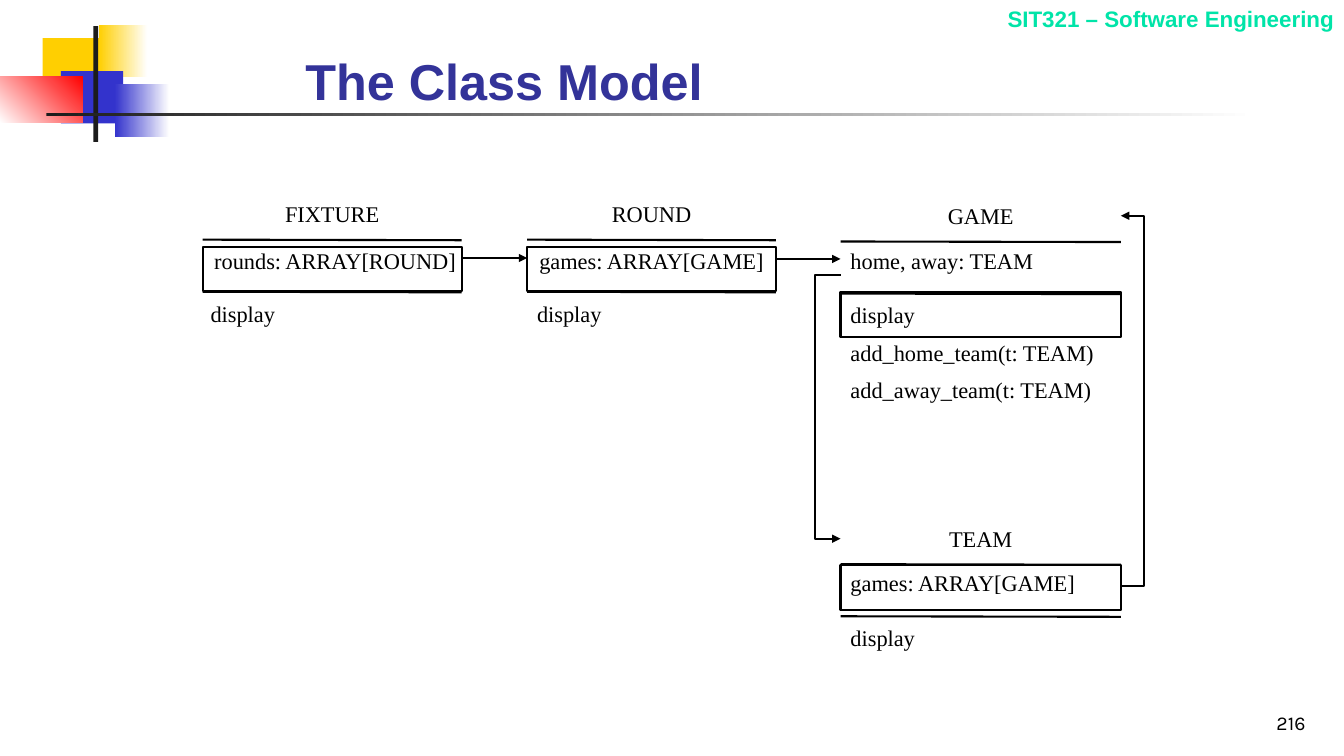
from dataclasses import dataclass

from lxml import etree
from pptx import Presentation
from pptx.dml.color import RGBColor
from pptx.enum import shapes, text
from pptx.oxml import ns
from pptx.util import Pt

LEFT, CENTER, RIGHT = text.PP_ALIGN.LEFT, text.PP_ALIGN.CENTER, text.PP_ALIGN.RIGHT
TOP, BOTTOM = text.MSO_ANCHOR.TOP, text.MSO_ANCHOR.BOTTOM


@dataclass(frozen=True)
class Theme:
    """Colours, fonts and type sizes of the slide."""
    ink: str = "000000"
    paper: str = "FFFFFF"
    title: str = "333399"
    course: str = "00E4A8"
    yellow: str = "FFCF01"
    blue: str = "3333CC"
    red: str = "FF0000"
    bar: str = "1C1C1C"
    sans: str = "Arial"
    serif: str = "Times New Roman"
    number: str = "Karla"
    title_size: float = 36
    body_size: float = 16
    number_size: float = 14
    line: float = 1.5


T = Theme()


@dataclass(frozen=True)
class Block:
    """A decorative rectangle, with a gradient when it has an end colour."""
    x: float
    y: float
    w: float
    h: float
    start: str
    end: str = ""
    angle: float = 0


@dataclass(frozen=True)
class ClassBox:
    """A class with its name, attribute, methods and framed row."""
    name: str
    x: float
    y: float
    w: float
    attribute: str
    methods: tuple[str, ...]
    frame_dy: float
    attribute_dy: float
    body_x: float
    body_w: float
    align: text.PP_ALIGN = LEFT


@dataclass(frozen=True)
class Arrow:
    """A path through points that ends in an arrowhead."""
    points: tuple[tuple[float, float], ...]


BLOCKS = (
    Block(30.5, 27.2, 46, 37.4, T.yellow),
    Block(70.6, 17.6, 34.6, 37.4, T.yellow, T.paper),
    Block(43.4, 50.8, 44.6, 37.4, T.blue),
    Block(82.1, 60.2, 38.9, 37.4, T.blue, T.paper),
    Block(0, 54.6, 59.2, 33.2, T.paper, T.red, 45),
    Block(66.7, 18.6, 3.5, 82.8, T.bar),
    Block(33.1, 80.6, 864, 2.2, T.bar, T.paper),
)

CLASSES = (
    ClassBox("FIXTURE", 144.8, 139.7, 185, "rounds: ARRAY[ROUND]", ("display",),
             36.7, 33.1, 143.3, 192.2, CENTER),
    ClassBox("ROUND", 376.5, 139.7, 177.7, "games: ARRAY[GAME]", ("display",),
             36.7, 33.1, 376.5, 177.7, CENTER),
    ClassBox("GAME", 600.4, 141, 200.3, "home, away: TEAM",
             ("display", "add_home_team(t: TEAM)", "add_away_team(t: TEAM)"),
             67.8, 31.8, 600.4, 168.5),
    ClassBox("TEAM", 600.4, 371.5, 200.3, "games: ARRAY[GAME]", ("display",),
             32.4, 31.7, 600.4, 185.8),
)

ARROWS = (
    Arrow(((329.8, 184.3), (376.5, 184.3))),
    Arrow(((554.2, 185), (600.4, 185))),
    Arrow(((600.4, 196.4), (582.3, 196.4), (582.3, 384.8), (600.4, 384.8))),
    Arrow(((800.7, 418.5), (817.2, 418.5), (817.2, 154.1), (800.7, 154.1))),
)


def rgb(value: str) -> RGBColor:
    """Turn a hex string into a colour."""
    return RGBColor.from_string(value)


def add_text(s, content: str, x: float, y: float, w: float, h: float = 26.6, *,
             size: float = T.body_size, font: str = T.serif, color: str = T.ink,
             bold: bool = False, align: text.PP_ALIGN = LEFT,
             anchor: text.MSO_ANCHOR = TOP, wrap: bool = True) -> None:
    """Add a one-line text box."""
    tf = s.shapes.add_textbox(Pt(x), Pt(y), Pt(w), Pt(h)).text_frame
    tf.word_wrap, tf.vertical_anchor = wrap, anchor
    p = tf.paragraphs[0]
    p.alignment = align
    r = p.add_run()
    r.text = content
    r.font.size, r.font.name, r.font.bold = Pt(size), font, bold
    r.font.color.rgb = rgb(color)


def add_rect(s, x: float, y: float, w: float, h: float):
    """Add a rectangle without shadow."""
    sp = s.shapes.add_shape(shapes.MSO_SHAPE.RECTANGLE, Pt(x), Pt(y), Pt(w), Pt(h))
    sp.shadow.inherit = False
    return sp


def style_line(sp) -> None:
    """Give a shape the diagram's line."""
    sp.line.color.rgb = rgb(T.ink)
    sp.line.width = Pt(T.line)


def add_line(s, x1: float, y1: float, x2: float, y2: float):
    """Add a straight line without shadow."""
    sp = s.shapes.add_connector(shapes.MSO_CONNECTOR.STRAIGHT,
                                Pt(x1), Pt(y1), Pt(x2), Pt(y2))
    style_line(sp)
    etree.SubElement(sp._element.spPr, ns.qn("a:effectLst"))
    return sp


def draw_block(s, b: Block) -> None:
    """Draw a decorative rectangle."""
    sp = add_rect(s, b.x, b.y, b.w, b.h)
    sp.line.fill.background()
    if not b.end:
        sp.fill.solid()
        sp.fill.fore_color.rgb = rgb(b.start)
        return
    sp.fill.gradient()
    sp.fill.gradient_angle = b.angle
    for stop, color in zip(sp.fill.gradient_stops, (b.start, b.end)):
        stop.color.rgb = rgb(color)


def draw_class(s, c: ClassBox) -> None:
    """Draw a class with its rules, frame and text."""
    frame = add_rect(s, c.x, c.y + c.frame_dy, c.w, 31.7)
    frame.fill.background()
    style_line(frame)
    add_text(s, c.name, c.x, c.y, c.w, align=CENTER)
    for dy in (31.5, 68.7):
        add_line(s, c.x, c.y + dy, c.x + c.w, c.y + dy + 0.4)
    add_text(s, c.attribute, c.body_x, c.y + c.attribute_dy, c.body_w, align=c.align)
    for i, method in enumerate(c.methods):
        add_text(s, method, c.body_x, c.y + 70.8 + 26.7 * i,
                 189 if "(" in method else 61.2, wrap=False)


def draw_arrow(s, a: Arrow) -> None:
    """Draw a straight or bent arrow."""
    start, *rest = a.points
    if len(rest) == 1:
        sp = add_line(s, *start, *rest[0])
    else:
        path = s.shapes.build_freeform(Pt(start[0]), Pt(start[1]))
        path.add_line_segments([(Pt(x), Pt(y)) for x, y in rest], close=False)
        sp = path.convert_to_shape()
        sp.shadow.inherit = False
        sp.fill.background()
        style_line(sp)
    etree.SubElement(sp.line._get_or_add_ln(), ns.qn("a:tailEnd"),
                     type="triangle", w="med", len="med")


def main() -> None:
    """Build the class model slide."""
    prs = Presentation()
    prs.slide_width, prs.slide_height = Pt(960), Pt(540)
    s = prs.slides.add_slide(prs.slide_layouts[6])
    for b in BLOCKS:
        draw_block(s, b)
    add_text(s, "SIT321 – Software Engineering", 578.2, 0, 381.8,
             font=T.sans, color=T.course, bold=True, align=RIGHT)
    add_text(s, "216", 739.4, 491.8, 200.2, 36, size=T.number_size,
             font=T.number, align=RIGHT, anchor=BOTTOM)
    add_text(s, "The Class Model", 211, 39.6, 613.4, 43.2, size=T.title_size,
             font=T.sans, color=T.title, bold=True, anchor=BOTTOM)
    for c in CLASSES:
        draw_class(s, c)
    for a in ARROWS:
        draw_arrow(s, a)
    prs.save("out.pptx")


if __name__ == "__main__":
    main()
